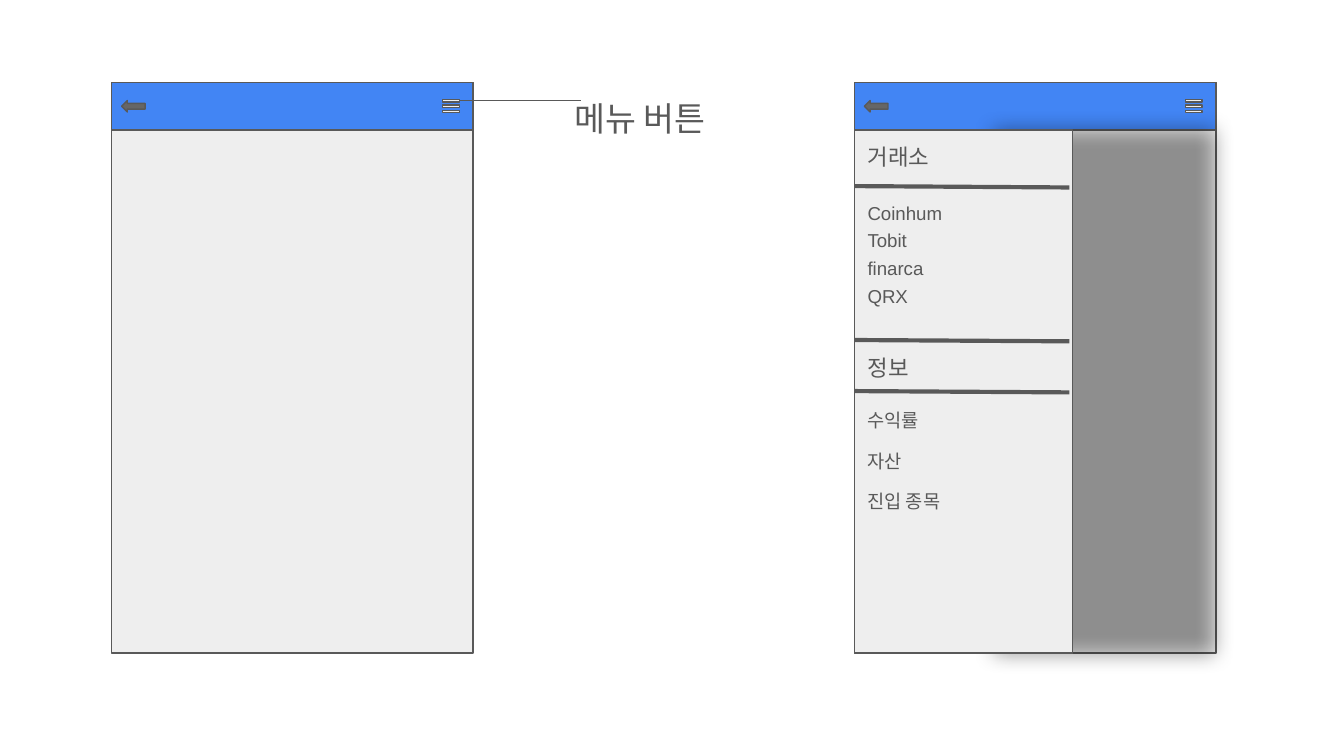
import pptx
import pptx.dml.color
import pptx.enum.shapes
import pptx.oxml
import pptx.oxml.ns
import pptx.util

RGBColor = pptx.dml.color.RGBColor
SHAPE = pptx.enum.shapes.MSO_SHAPE
DARK = RGBColor(0x59, 0x59, 0x59)
GREY = RGBColor(0x66, 0x66, 0x66)
LIGHT = RGBColor(0xEE, 0xEE, 0xEE)
BLUE = RGBColor(0x42, 0x85, 0xF4)

# Widescreen slide, 16:9
presentation = pptx.Presentation()
presentation.slide_width = pptx.util.Inches(10)
presentation.slide_height = presentation.slide_width * 9 // 16
slide = presentation.slides.add_slide(presentation.slide_layouts[6])

# Square grid: 100 columns across the slide, rows of the same size
UNIT = presentation.slide_width / 100
SCREEN_TOP, SCREEN_WIDTH, SCREEN_HEIGHT = 6.13, 26.9, 42.47
BAR_HEIGHT = 3.55
LEFT_SCREEN, RIGHT_SCREEN = 8.3, 63.57
MENU_WIDTH = 16.25
MENU_TOP = SCREEN_TOP + BAR_HEIGHT


def add_box(shapes, kind, left, top, width, height, color):
    shape = shapes.add_shape(kind, *(round(n * UNIT) for n in (left, top, width, height)))
    shape.shadow.inherit = False
    shape.fill.solid()
    shape.fill.fore_color.rgb = color
    shape.line.color.rgb = DARK
    shape.line.width = pptx.util.Pt(0.75)
    return shape


def add_label(text, left, top, width, height, size):
    label = slide.shapes.add_textbox(*(round(n * UNIT) for n in (left, top, width, height)))
    frame = label.text_frame
    frame.word_wrap = True
    frame.margin_left = frame.margin_right = pptx.util.Inches(0.1)
    frame.margin_top = frame.margin_bottom = pptx.util.Inches(0.1)
    frame.text = text
    font = frame.paragraphs[0].runs[0].font
    font.name = "Arial"
    font.size = pptx.util.Pt(size)
    font.color.rgb = DARK


# Phone screens: body, top bar, back arrow and three-line menu button
for left in (LEFT_SCREEN, RIGHT_SCREEN):
    screen = slide.shapes.add_group_shape().shapes
    add_box(screen, SHAPE.RECTANGLE, left, SCREEN_TOP, SCREEN_WIDTH, SCREEN_HEIGHT, LIGHT)
    add_box(screen, SHAPE.RECTANGLE, left, SCREEN_TOP, SCREEN_WIDTH, BAR_HEIGHT, BLUE)
    back_arrow = add_box(screen, SHAPE.RIGHT_ARROW, left + 0.75, 7.48, 1.75, 0.85, GREY)
    back_arrow.rotation = 180
    for row in (1, 2, 0):
        add_box(screen, SHAPE.MATH_MINUS, left + 24.4, 7.1 + 0.4 * row, 1.7, 0.8, LIGHT)

# Open menu, whose shadow dims the rest of the screen
menu = add_box(slide.shapes, SHAPE.RECTANGLE, RIGHT_SCREEN, MENU_TOP,
               MENU_WIDTH, SCREEN_HEIGHT - BAR_HEIGHT, LIGHT)
menu.rotation = 180
effects = menu.element.spPr.find(pptx.oxml.ns.qn("a:effectLst"))
effects.append(pptx.oxml.parse_xml(
    f'<a:outerShdw {pptx.oxml.ns.nsdecls("a")} blurRad="{pptx.util.Pt(11.2)}" '
    f'dist="{pptx.util.Pt(75)}" dir="0" algn="bl" rotWithShape="0">'
    '<a:srgbClr val="000000"><a:alpha val="40000"/></a:srgbClr></a:outerShdw>'))

# Callout line and menu dividers: start x, start y, end x, end y, width
lines = [(34.2, 7.47, 43.2, 7.47, 0.75)]
lines += [(RIGHT_SCREEN, top, RIGHT_SCREEN + 16, top + 0.1, 2.25)
          for top in (13.85, 25.3, 29.1)]
for *ends, width in lines:
    line = slide.shapes.add_connector(pptx.enum.shapes.MSO_CONNECTOR.STRAIGHT,
                                      *(round(n * UNIT) for n in ends))
    line.line.color.rgb = DARK
    line.line.width = pptx.util.Pt(width)
    line.element.spPr.append(pptx.oxml.parse_xml(
        f'<a:effectLst {pptx.oxml.ns.nsdecls("a")}/>'))

# Callout and menu headings
add_label("메뉴 버튼", 41.75, 6.3, 14.2, 2.5, 18)
for text, top in (("거래소", MENU_TOP), ("정보", 25.35)):
    add_label(text, RIGHT_SCREEN, top, MENU_WIDTH, 4.1, 12)

# Menu items: first row, row pitch, height, entries
sections = [
    (14.15, 2.06, 3.6, ["Coinhum", "Tobit", "finarca", "QRX"]),
    (29.6, 3, 2.8, ["수익률", "자산", "진입 종목"]),
]
for first, pitch, height, items in sections:
    for row, text in enumerate(items):
        add_label(text, RIGHT_SCREEN, first + pitch * row, 15.3, height, 10)

presentation.save("out.pptx")
